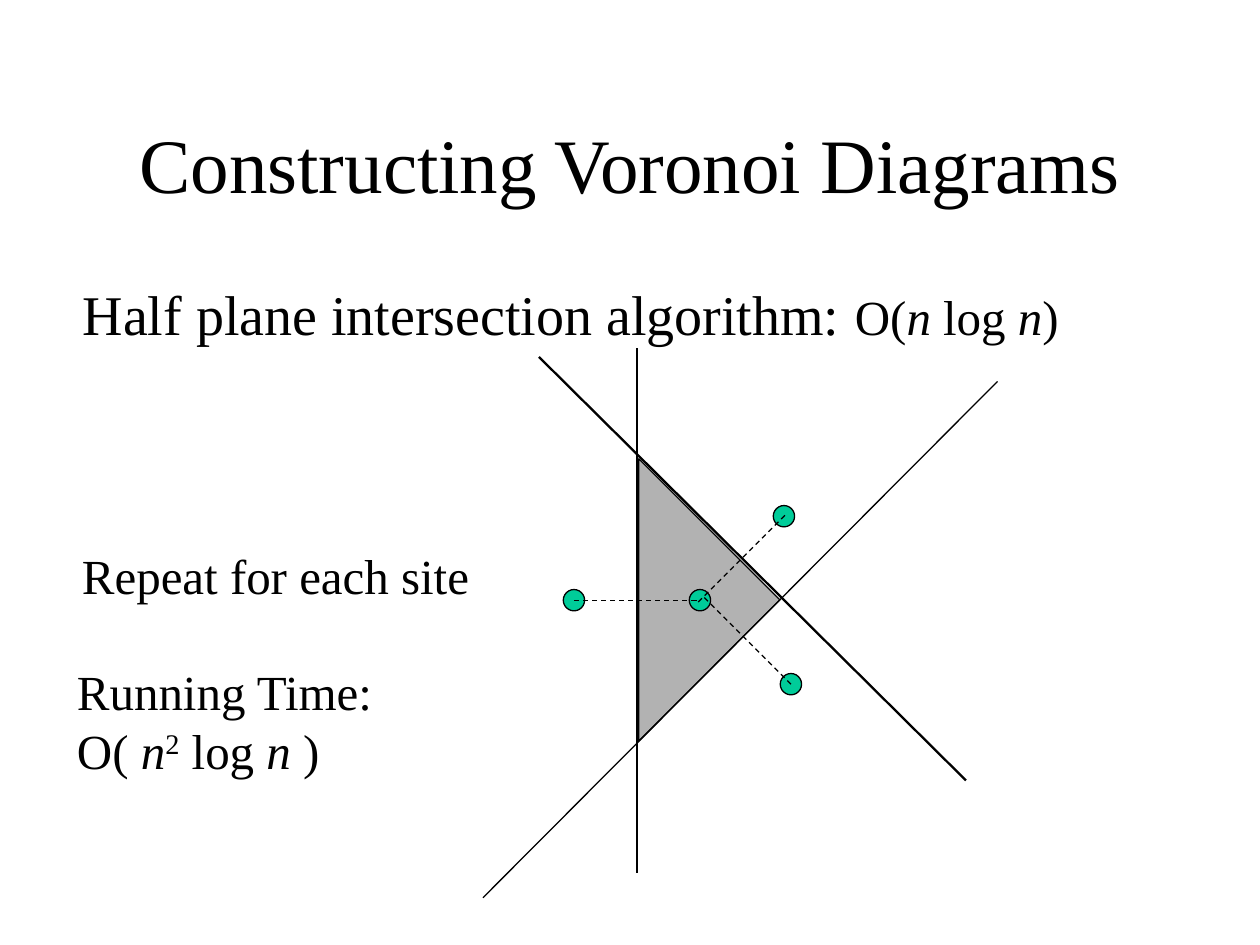
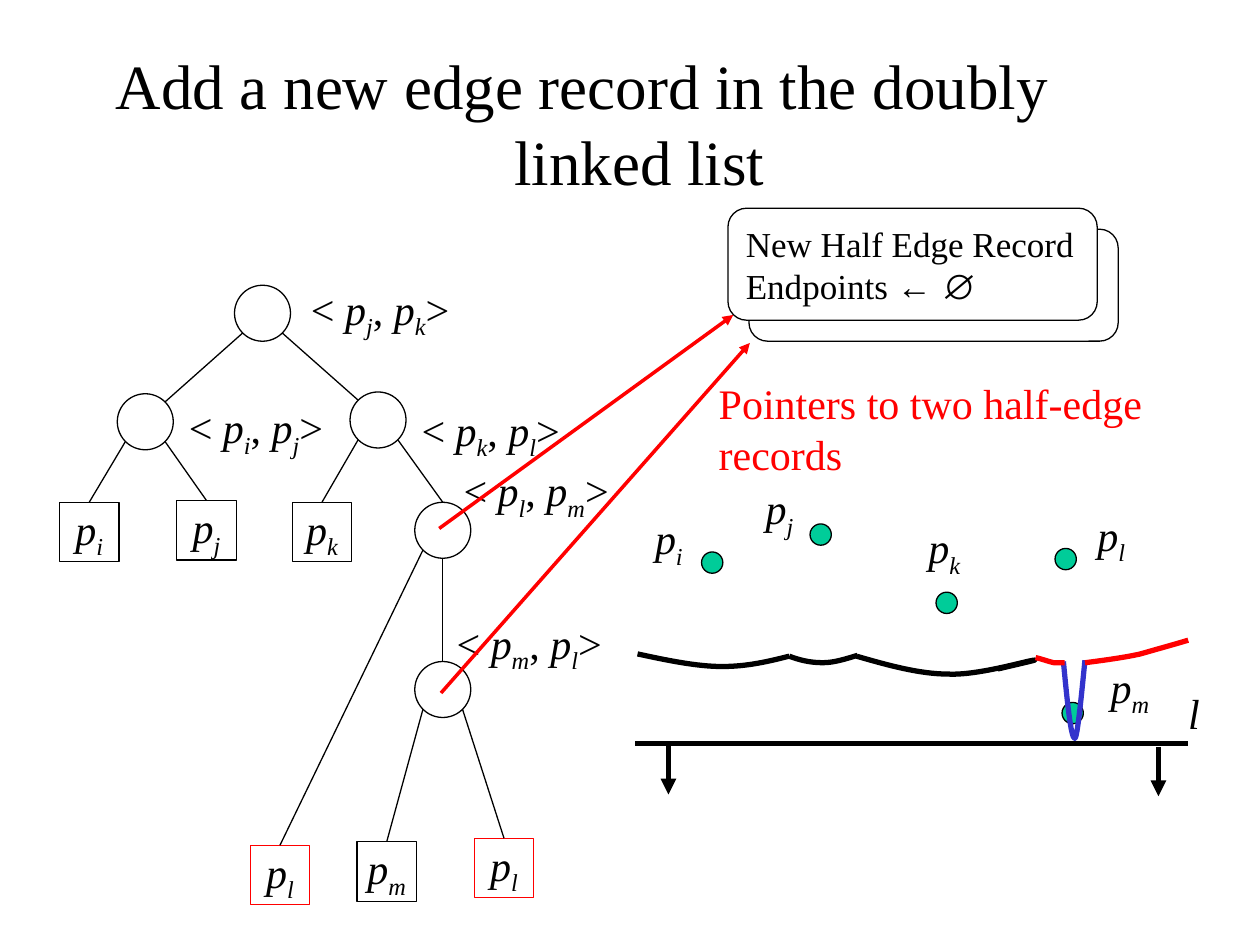
from math import sqrt

from lxml import etree
from pptx import Presentation
from pptx.dml.color import RGBColor
from pptx.enum.dml import MSO_LINE
from pptx.enum.shapes import MSO_CONNECTOR, MSO_SHAPE
from pptx.enum.text import MSO_ANCHOR, MSO_AUTO_SIZE, PP_ALIGN
from pptx.oxml.ns import qn
from pptx.util import Pt

BLACK = RGBColor(0, 0, 0)
WHITE = RGBColor(255, 255, 255)
RED = RGBColor(255, 0, 0)
BLUE = RGBColor(0x33, 0x33, 0xCC)
GREEN = RGBColor(0, 0xCC, 0x99)
GRAY = RGBColor(0xB2, 0xB2, 0xB2)

FONT = "Times New Roman"
SYMBOL_FONT = "Arial"
THIN, MEDIUM, THICK = 0.75, 1.3, 3
SITE = 12.2
NODE = 32
LEAF = 34
LABEL_HEIGHT = 40

ITALIC = {"italic": True}
SUBSCRIPT = {"italic": True, "baseline": -25000}
SUPERSCRIPT = {"baseline": 30000}
SYMBOL = {"name": SYMBOL_FONT}
RATE = {"size": 28}
RATE_ITALIC = {**RATE, **ITALIC}


def point(name):
    """Runs for the site p with a subscript."""
    return [("p", ITALIC), (name, SUBSCRIPT)]


def breakpoint_pair(left, right):
    return [("< ", {}), *point(left), (", ", {}), *point(right), (">", {})]


def write(shape, lines, size, color=BLACK, align=PP_ALIGN.LEFT, wrap=False):
    """Fill a shape with paragraphs, each a string or a list of (text, style) runs."""
    frame = shape.text_frame
    frame.word_wrap = wrap
    for index, line in enumerate(lines):
        paragraph = frame.paragraphs[0] if index == 0 else frame.add_paragraph()
        paragraph.alignment = align
        font = paragraph.font
        font.name, font.size, font.color.rgb = FONT, Pt(size), color
        for text, style in [(line, {})] if isinstance(line, str) else line:
            run = paragraph.add_run()
            run.text = text
            if "italic" in style:
                run.font.italic = style["italic"]
            if "name" in style:
                run.font.name = style["name"]
            if "size" in style:
                run.font.size = Pt(style["size"])
            if "baseline" in style:
                run._r.get_or_add_rPr().set("baseline", str(style["baseline"]))
    return frame


def add_text(slide, left, top, width, height, lines, size, color=BLACK):
    box = slide.shapes.add_textbox(Pt(left), Pt(top), Pt(width), Pt(height))
    write(box, lines, size, color).auto_size = MSO_AUTO_SIZE.SHAPE_TO_FIT_TEXT


def add_title(slide, left, top, width, text, size, hanging=0):
    box = slide.shapes.add_textbox(Pt(left), Pt(top), Pt(width), Pt(90))
    frame = write(box, [text], size, align=PP_ALIGN.CENTER, wrap=True)
    frame.vertical_anchor = MSO_ANCHOR.MIDDLE
    if hanging:
        properties = frame.paragraphs[0]._p.get_or_add_pPr()
        properties.set("marL", str(Pt(hanging)))
        properties.set("indent", str(-Pt(hanging)))


def style_outline(shape, fill, color, weight):
    shape.shadow.inherit = False
    if fill is None:
        shape.fill.background()
    else:
        shape.fill.solid()
        shape.fill.fore_color.rgb = fill
    shape.line.color.rgb = color
    shape.line.width = Pt(weight)


def add_outline(slide, kind, left, top, width, height, fill=None, color=BLACK):
    shape = slide.shapes.add_shape(kind, Pt(left), Pt(top), Pt(width), Pt(height))
    style_outline(shape, fill, color, THIN)
    return shape


def add_site(slide, x, y):
    add_outline(slide, MSO_SHAPE.OVAL, x - SITE / 2, y - SITE / 2, SITE, SITE, GREEN)


def add_line(slide, start, end, weight=THIN, color=BLACK, dashed=False, arrow=False):
    line = slide.shapes.add_connector(
        MSO_CONNECTOR.STRAIGHT, *(Pt(value) for value in (*start, *end)))
    line.line.color.rgb = color
    line.line.width = Pt(weight)
    if dashed:
        line.line.dash_style = MSO_LINE.DASH
    if arrow:
        etree.SubElement(line.line._get_or_add_ln(), qn("a:tailEnd"), type="triangle")
    etree.SubElement(line._element.spPr, qn("a:effectLst"))
    return line


def add_curve(slide, points, color):
    """Draw a chain of cubic Bezier pieces; each piece adds three points."""
    start, *rest = [(Pt(x), Pt(y)) for x, y in points]
    builder = slide.shapes.build_freeform(*start)
    builder.add_line_segments(rest, close=False)
    curve = builder.convert_to_shape()
    segments = list(curve._element.iter(qn("a:lnTo")))
    for first in range(0, len(segments), 3):
        bezier = etree.Element(qn("a:cubicBezTo"))
        segments[first].addprevious(bezier)
        for segment in segments[first:first + 3]:
            bezier.append(segment[0])
            segment.getparent().remove(segment)
    style_outline(curve, None, color, THICK)


def add_leaf(slide, left, top, name, color=BLACK):
    leaf = add_outline(slide, MSO_SHAPE.RECTANGLE, left, top, LEAF, LEAF, color=color)
    frame = write(leaf, [point(name)], 24, align=PP_ALIGN.CENTER)
    frame.vertical_anchor = MSO_ANCHOR.MIDDLE
    return leaf


def rim(node, across, down):
    """Point on a node's circle in the direction (across, down)."""
    reach = NODE / 2 / sqrt(across**2 + down**2)
    return (node[0] + NODE / 2 + across * reach, node[1] + NODE / 2 + down * reach)


def add_voronoi_slide(slide):
    add_title(slide, 54.2, 48, 612, "Constructing Voronoi Diagrams", 44)
    algorithm = slide.shapes.add_textbox(Pt(0), Pt(156), Pt(666), Pt(324))
    frame = write(algorithm, [[
        ("Half plane intersection algorithm: ", {}), ("O(", RATE), ("n", RATE_ITALIC),
        (" log ", RATE), ("n", RATE_ITALIC), (")", RATE)]], 32, wrap=True)
    frame.margin_left = Pt(47.2)

    cell = add_outline(slide, MSO_SHAPE.RIGHT_TRIANGLE, 308, 285.8, 114, 114, GRAY)
    cell.rotation = 225
    for x, y in [(328, 343), (400, 343), (448, 295), (452, 391)]:
        add_site(slide, x, y)
    for start, end in [((328, 343), (400, 343)), ((399, 344), (449, 294)),
                       ((402.5, 341.5), (453.5, 392.5))]:
        add_line(slide, start, end, dashed=True)
    add_line(slide, (364, 199), (364, 499), MEDIUM)
    add_line(slide, (308, 204), (552, 446), MEDIUM)
    add_line(slide, (570, 218), (276, 513))

    add_text(slide, 39.8, 308, 236, 41, ["Repeat for each site"], 28)
    add_text(slide, 36.9, 374.4, 192, 75, [
        "Running Time:",
        [("O( ", {}), ("n", ITALIC), ("2", SUPERSCRIPT), (" log ", {}), ("n", ITALIC),
         (" )", {})]], 28)


def add_tree(slide):
    root, left, right = (134, 163), (67, 225), (200, 224)
    upper, lower = (237, 287), (237, 378)
    for node in (root, left, right, upper, lower):
        add_outline(slide, MSO_SHAPE.OVAL, *node, NODE, NODE)

    add_line(slide, rim(root, -1, 1), rim(left, 1, -1))
    add_line(slide, rim(root, 1, 1), rim(right, -1, -1))
    add_line(slide, rim(right, 1, 1), rim(upper, 0, -1))
    add_line(slide, rim(upper, 0, 1), rim(lower, 0, -1))
    for parent, side, x, y, name, color in [
            (left, -1, 34, 287, "i", BLACK), (left, 1, 101, 286, "j", BLACK),
            (right, -1, 167, 287, "k", BLACK), (upper, -1, 143, 483, "l", RED),
            (lower, -1, 204, 481, "m", BLACK), (lower, 1, 271, 479, "l", RED)]:
        leaf = add_leaf(slide, x, y, name, color)
        start = rim(parent, side, 1)
        add_line(slide, start, start).end_connect(leaf, 0)

    for x, y, width, pair in [(170.6, 158.4, 94, "jk"), (100.8, 226, 92, "ij"),
                              (233.8, 227.5, 94, "kl"), (257.8, 262, 98, "lm"),
                              (253.8, 349.2, 98, "ml")]:
        add_text(slide, x, y, width, LABEL_HEIGHT, [breakpoint_pair(*pair)], 24)


def add_records(slide):
    for left, top in [(428, 131), (416, 119)]:
        record = add_outline(slide, MSO_SHAPE.ROUNDED_RECTANGLE, left, top, 211, 64, WHITE)
    frame = write(record, ["New Half Edge Record",
                           [("Endpoints ", {}), ("← ∅", SYMBOL)]], 20)
    frame.vertical_anchor = MSO_ANCHOR.MIDDLE
    add_line(slide, (251, 302), (419, 180), 2, RED, arrow=True)
    add_line(slide, (252, 396), (428.5, 196), 2, RED, arrow=True)
    add_text(slide, 403.6, 212.4, 262, 65, ["Pointers to two half-edge", "records"], 24, RED)


def add_beach_line(slide):
    for x, y in [(407, 321.5), (469, 305.5), (541, 344.5), (609, 319.5), (613, 407.5)]:
        add_site(slide, x, y)
    for x, y, width, name in [(367.2, 289.4, 32, "i"), (430.4, 272.2, 32, "j"),
                              (523.4, 294.5, 34, "k"), (620, 287.5, 32, "l"),
                              (627.6, 374.4, 38, "m")]:
        add_text(slide, x, y, width, LABEL_HEIGHT, [point(name)], 24)

    add_line(slide, (363, 425), (679, 425), THICK)
    for x, y in [(382, 426), (662, 427)]:
        add_line(slide, (x, y), (x, y + 28), THICK, arrow=True)
    add_text(slide, 671.8, 389.5, 21, 36, [[("l", ITALIC)]], 24)

    add_curve(slide, [(364.3, 373.7), (380.9, 377.3), (398.2, 380.9), (412.6, 380.9),
                      (427, 380.9), (439.2, 378), (451, 375)], BLACK)
    add_curve(slide, [(451, 375), (457.2, 377.3), (463, 378.7), (470.2, 378.7),
                      (476.6, 378.7), (483.1, 376.6), (490, 374.5)], BLACK)
    add_curve(slide, [(489.6, 375), (507.6, 380.2), (525.6, 385.2), (542.2, 385.2),
                      (558.7, 385.9), (585.4, 378), (590.4, 377.3),
                      (594.7, 376.6), (582.5, 379.4), (570.2, 382.3)], BLACK)
    add_curve(slide, [(607.7, 378), (609.8, 400.3), (612, 422), (614.2, 422),
                      (615.6, 422), (617.8, 399.6), (620, 377.3)], BLUE)
    add_curve(slide, [(591.8, 375.8), (595.4, 376.6), (599, 378), (602, 378.7),
                      (604.8, 378.7), (606.2, 378.7), (608.4, 378.7)], RED)
    add_curve(slide, [(620, 378.7), (630.7, 377.3), (642.2, 375.8), (651.6, 373.7),
                      (661.7, 370.8), (674.6, 367.2), (679, 365.8)], RED)


def add_edge_record_slide(slide):
    add_title(slide, 37, 24.8, 591, "Add a new edge record in the doubly linked list", 36,
              hanging=66)
    add_tree(slide)
    add_beach_line(slide)
    add_records(slide)


def main():
    presentation = Presentation()
    presentation.slide_width, presentation.slide_height = Pt(720), Pt(540)
    blank = presentation.slide_layouts[6]
    for fill_slide in (add_voronoi_slide, add_edge_record_slide):
        fill_slide(presentation.slides.add_slide(blank))
    presentation.save("out.pptx")


if __name__ == "__main__":
    main()
